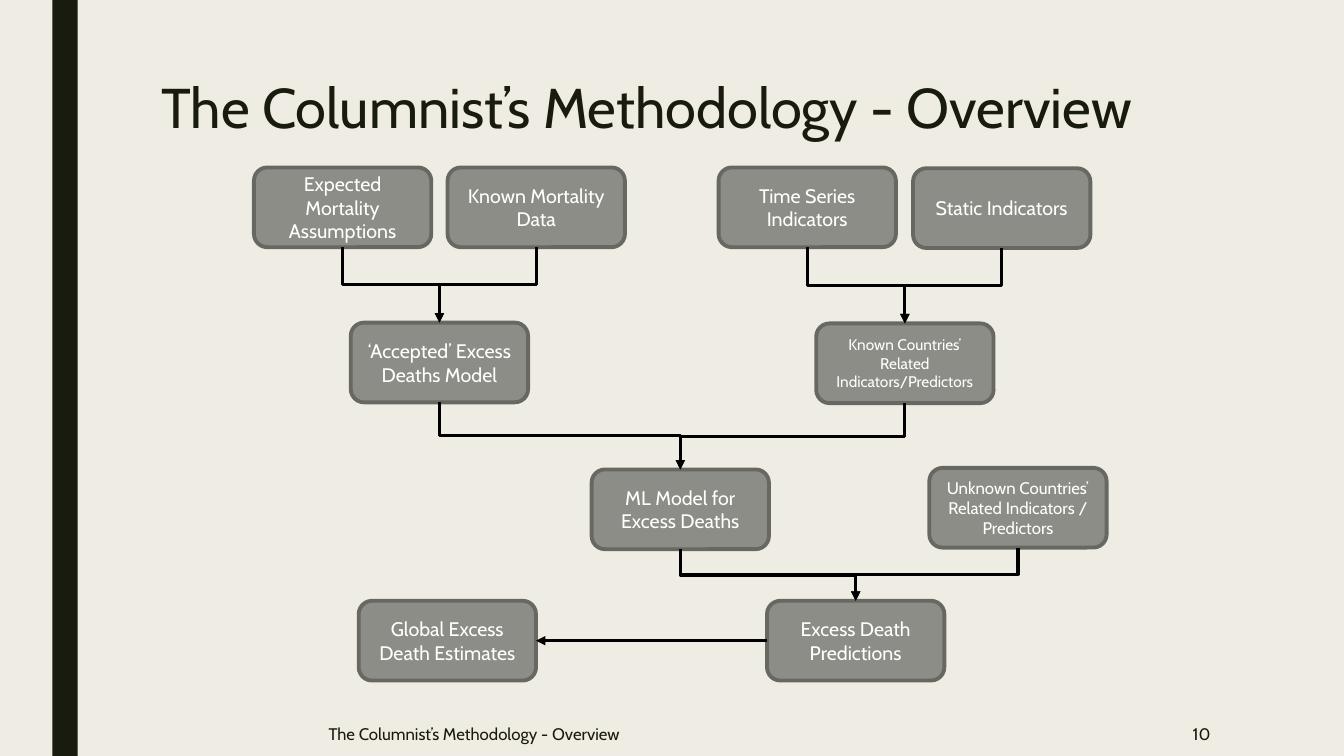
from lxml import etree
from pptx import Presentation
from pptx.dml.color import RGBColor
from pptx.enum.shapes import MSO_CONNECTOR as CONN, MSO_SHAPE as SHAPE
from pptx.enum.text import MSO_ANCHOR as ANCHOR, MSO_AUTO_SIZE as AUTO, PP_ALIGN as ALIGN
from pptx.oxml.ns import qn
from pptx.util import Cm, Pt

COLORS = {
    "background": "EFEDE3",
    "ink": "191B0E",
    "box": "8C8D86",
    "border": "686863",
    "box_text": "FFFFFF",
    "arrow": "000000",
}
FONT = "Cabin"
TITLE = "The Columnist’s Methodology - Overview"
BOX_W, BOX_H = Cm(4.47), Cm(2.01)
TOP, LEFT, BOTTOM, RIGHT = range(4)  # connection sites of a box

# key: (left cm, top cm, text, size pt)
BOXES = {
    "known": (11.28, 4.22, "Known Mortality Data", 14),
    "expected": (6.4, 4.22, "Expected Mortality Assumptions", 14),
    "accepted": (8.84, 8.13, "‘Accepted’ Excess Deaths Model", 14),
    "known_countries": (20.57, 8.15, "Known Countries’ Related Indicators/Predictors", 11),
    "static": (23.01, 4.24, "Static Indicators", 14),
    "series": (18.11, 4.22, "Time Series Indicators", 14),
    "ml": (14.91, 11.83, "ML Model for Excess Deaths", 14),
    "unknown": (23.42, 11.79, "Unknown Countries’ Related Indicators / Predictors", 12),
    "predictions": (19.33, 15.14, "Excess Death Predictions", 14),
    "estimates": (9.04, 15.14, "Global Excess Death Estimates", 14),
}
FLOWS = [
    ("expected", "accepted"),
    ("known", "accepted"),
    ("series", "known_countries"),
    ("static", "known_countries"),
    ("accepted", "ml"),
    ("known_countries", "ml"),
    ("ml", "predictions"),
    ("unknown", "predictions"),
]


def color(name):
    return RGBColor.from_string(COLORS[name])


def set_text(shape, text, size, ink, align, anchor):
    tf = shape.text_frame
    tf.word_wrap = True
    tf.auto_size = AUTO.NONE
    tf.vertical_anchor = anchor
    p = tf.paragraphs[0]
    p.text = text
    p.alignment = align
    p.font.name = FONT
    p.font.size = Pt(size)
    p.font.color.rgb = color(ink)
    return p


def add_title(s):
    title = s.shapes.title
    title.left, title.top, title.width, title.height = Cm(3.81), Cm(1.9), Cm(26.67), Cm(2.41)
    p = set_text(title, TITLE, 40, "ink", ALIGN.LEFT, ANCHOR.TOP)
    p.line_spacing = 0.89


def add_side_bar(s, height):
    bar = s.shapes.add_shape(SHAPE.RECTANGLE, Cm(1.32), 0, Cm(0.64), height)
    bar.shadow.inherit = False
    bar.fill.solid()
    bar.fill.fore_color.rgb = color("ink")
    bar.line.fill.background()


def add_footer_text(s, left, width, text, align):
    box = s.shapes.add_textbox(Cm(left), Cm(17.93), Cm(width), Cm(1.12))
    set_text(box, text, 12, "ink", align, ANCHOR.MIDDLE)


def add_box(s, left, top, text, size):
    box = s.shapes.add_shape(SHAPE.ROUNDED_RECTANGLE, Cm(left), Cm(top), BOX_W, BOX_H)
    box.shadow.inherit = False
    box.fill.solid()
    box.fill.fore_color.rgb = color("box")
    box.line.color.rgb = color("border")
    box.line.width = Pt(2.75)
    set_text(box, text, size, "box_text", ALIGN.CENTER, ANCHOR.MIDDLE)
    return box


def add_arrow(s, kind, source, source_site, target, target_site):
    arrow = s.shapes.add_connector(kind, 0, 0, 0, 0)
    arrow.begin_connect(source, source_site)
    arrow.end_connect(target, target_site)
    arrow.line.color.rgb = color("arrow")
    arrow.line.width = Pt(2.25)
    etree.SubElement(arrow.line._get_or_add_ln(), qn("a:tailEnd"), type="triangle")
    etree.SubElement(arrow._element.spPr, qn("a:effectLst"))
    return arrow


def add_elbow_down(s, source, target):
    """Arrow that leaves the source downwards and enters the target from above."""
    arrow = add_arrow(s, CONN.ELBOW, source, BOTTOM, target, TOP)
    goes_right = arrow.end_x > arrow.begin_x
    mid_x = (arrow.begin_x + arrow.end_x) // 2
    mid_y = (arrow.begin_y + arrow.end_y) // 2
    # The preset runs sideways, so its frame is turned a quarter about its centre.
    arrow.width, arrow.height = arrow.height, arrow.width
    arrow.left = mid_x - arrow.width // 2
    arrow.top = mid_y - arrow.height // 2
    xfrm = arrow._element.spPr.find(qn("a:xfrm"))
    xfrm.set("rot", str((270 if goes_right else 90) * 60000))
    xfrm.set("flipH", "1" if goes_right else "0")


def main():
    prs = Presentation()
    prs.slide_width, prs.slide_height = Cm(33.87), Cm(19.05)
    s = prs.slides.add_slide(prs.slide_layouts[5])
    s.background.fill.solid()
    s.background.fill.fore_color.rgb = color("background")

    add_side_bar(s, prs.slide_height)
    add_title(s)
    boxes = {key: add_box(s, *values) for key, values in BOXES.items()}
    for source, target in FLOWS:
        add_elbow_down(s, boxes[source], boxes[target])
    add_arrow(s, CONN.STRAIGHT, boxes["predictions"], LEFT, boxes["estimates"], RIGHT)
    add_footer_text(s, 8.03, 17.45, TITLE, ALIGN.LEFT)
    add_footer_text(s, 26.31, 4.45, "10", ALIGN.RIGHT)
    prs.save("out.pptx")


if __name__ == "__main__":
    main()
